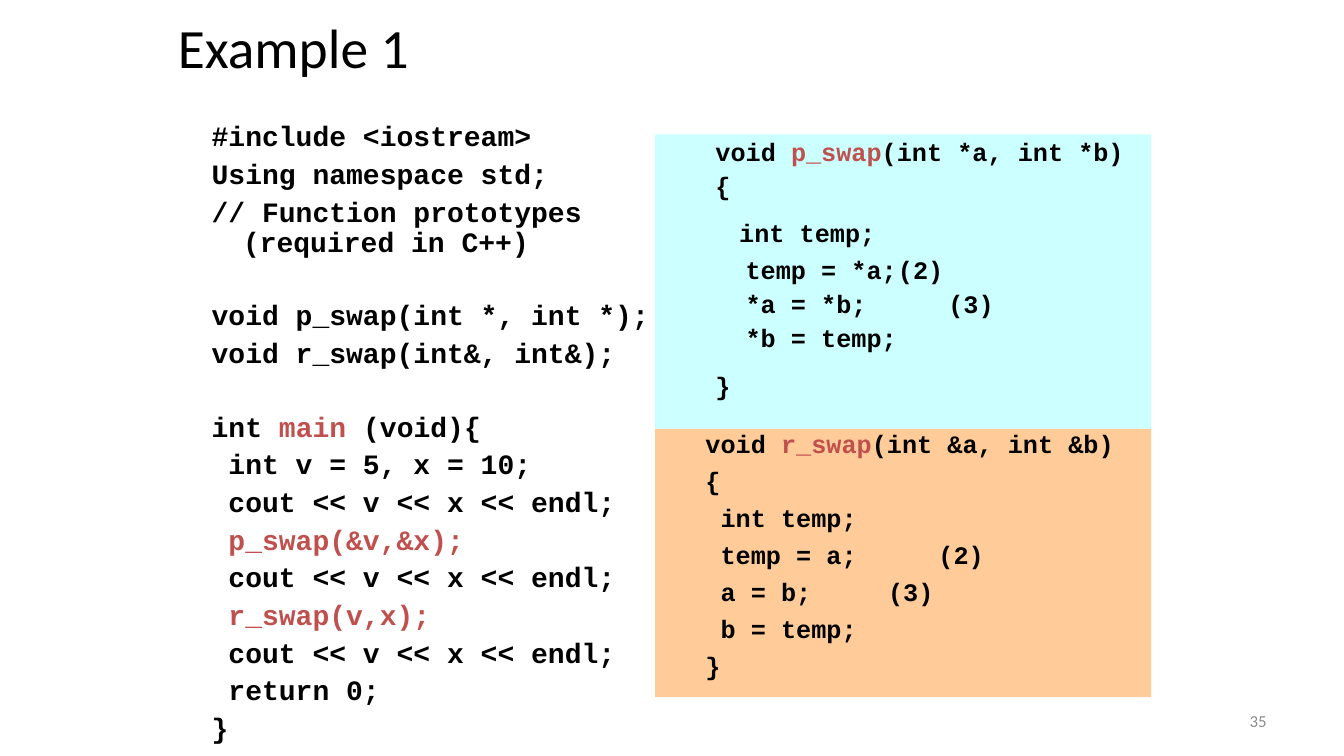
from dataclasses import dataclass

from pptx import Presentation
from pptx.dml.color import RGBColor
from pptx.enum.shapes import MSO_SHAPE
from pptx.enum.text import MSO_ANCHOR, MSO_AUTO_SIZE, PP_ALIGN
from pptx.oxml.xmlchemy import OxmlElement
from pptx.util import Cm, Pt

RECT = MSO_SHAPE.RECTANGLE
TOP, MIDDLE = MSO_ANCHOR.TOP, MSO_ANCHOR.MIDDLE
FIXED = MSO_AUTO_SIZE.NONE
LEFT, RIGHT = PP_ALIGN.LEFT, PP_ALIGN.RIGHT

HUES = {"ink": "000000", "red": "C0504D", "gray": "8C8C8C",
        "peach": "FFCC99", "aqua": "CCFFFF"}
MARK = "|"
MARGIN, HANG = 2.06, 0.79
GAP_RATE = 0.265
BLANK = 25.65


@dataclass
class Line:
    """A line of code; text between marks is red, extra is in points, inset in cm."""
    text: str
    extra: float = 0
    inset: float = 0


@dataclass
class Panel:
    """A filled box of code, with places in cm."""
    top: float
    height: float
    fill: str
    pad: tuple[float, float]
    spacing: float
    lines: list[Line]


MAIN = [
    Line("#include <iostream>"),
    Line("Using namespace std;"),
    Line("// Function prototypes (required in C++)"),
    Line("void p_swap(int *, int *);", BLANK),
    Line("void r_swap(int&, int&);"),
    Line("int |main| (void){", BLANK),
    Line(" int v = 5, x = 10;"),
    Line(" cout << v << x << endl;"),
    Line(" |p_swap(&v,&x);|"),
    Line(" cout << v << x << endl;"),
    Line(" |r_swap(v,x);|"),
    Line(" cout << v << x << endl;"),
    Line(" return 0;"),
    Line("}"),
]

PANELS = [
    Panel(10.8, 6.77, "peach", (0, 0), 1.0, [
        Line("void |r_swap|(int &a, int &b)"),
        Line("{"),
        Line(" int temp;"),
        Line(" temp = a;\t\t(2)"),
        Line(" a = b;\t\t(3)"),
        Line(" b = temp;"),
        Line("}"),
    ]),
    Panel(3.39, 7.41, "aqua", (0.25, 0.13), 0.9, [
        Line("void |p_swap|(int *a, int *b)"),
        Line("{"),
        Line("int temp;", 9.8, 0.6),
        Line("temp = *a;\t(2)", 2.2, 0.76),
        Line("*a = *b;\t\t(3)", 0, 0.76),
        Line("*b = temp;", 0, 0.76),
        Line("}", 10.2),
    ]),
]


def paint(font, face: str, size: float, hue: str, bold: bool = False) -> None:
    """Set the look of a font."""
    font.name, font.size, font.bold = face, Pt(size), bold
    font.color.rgb = RGBColor.from_string(HUES[hue])


def place(shape, left: float, top: float, width: float, height: float) -> None:
    """Move and size a shape in cm."""
    shape.left, shape.top = Cm(left), Cm(top)
    shape.width, shape.height = Cm(width), Cm(height)


def write(frame, lines: list[Line], size: int, spacing: float) -> None:
    """Fill a text frame with lines of code."""
    frame.word_wrap, frame.auto_size = True, FIXED
    frame.vertical_anchor = TOP
    frame.text = "\n".join("" for _ in lines)
    for para, line in zip(frame.paragraphs, lines):
        para.level, para.alignment = 1, LEFT
        para.line_spacing = spacing
        para.space_before = Pt(GAP_RATE * size + line.extra)
        para.space_after = Pt(0)
        props = para._p.get_or_add_pPr()
        props.set("marL", str(Cm(MARGIN)))
        props.set("indent", str(Cm(line.inset - HANG)))
        props.append(OxmlElement("a:buNone"))
        for rank, part in enumerate(line.text.split(MARK)):
            if part:
                run = para.add_run()
                run.text = part
                paint(run.font, "Courier New", size, "red" if rank % 2 else "ink", True)


def label(shape, text: str, size: float, hue: str, align) -> None:
    """Write one line of plain text in the middle of a shape's height."""
    frame = shape.text_frame
    frame.word_wrap, frame.auto_size = True, FIXED
    frame.vertical_anchor = MIDDLE
    frame.text = text
    para = frame.paragraphs[0]
    para.alignment = align
    paint(para.runs[0].font, "Calibri", size, hue)


def draw(slide, panel: Panel) -> None:
    """Draw a filled box of code."""
    shape = slide.shapes.add_shape(
        RECT, Cm(16.51), Cm(panel.top), Cm(12.5), Cm(panel.height))
    shape.shadow.inherit = False
    shape.fill.solid()
    shape.fill.fore_color.rgb = RGBColor.from_string(HUES[panel.fill])
    shape.line.fill.background()
    frame = shape.text_frame
    side, end = panel.pad
    frame.margin_left = frame.margin_right = Cm(side)
    frame.margin_top = frame.margin_bottom = Cm(end)
    write(frame, panel.lines, 18, panel.spacing)


def main() -> None:
    """Build the slide and save it."""
    deck = Presentation()
    deck.slide_width, deck.slide_height = Cm(33.87), Cm(19.05)
    slide = deck.slides.add_slide(deck.slide_layouts[1])
    title, body = slide.placeholders
    place(title, 4.23, 0.21, 25.4, 1.9)
    label(title, "Example 1", 39.6, "ink", LEFT)
    place(body, 3.81, 2.96, 12.9, 15.88)
    write(body.text_frame, MAIN, 20, 0.9)
    for panel in PANELS:
        draw(slide, panel)
    number = slide.shapes.add_textbox(Cm(24.27), Cm(17.66), Cm(7.9), Cm(1.01))
    label(number, "35", 12, "gray", RIGHT)
    deck.save("out.pptx")


if __name__ == "__main__":
    main()
